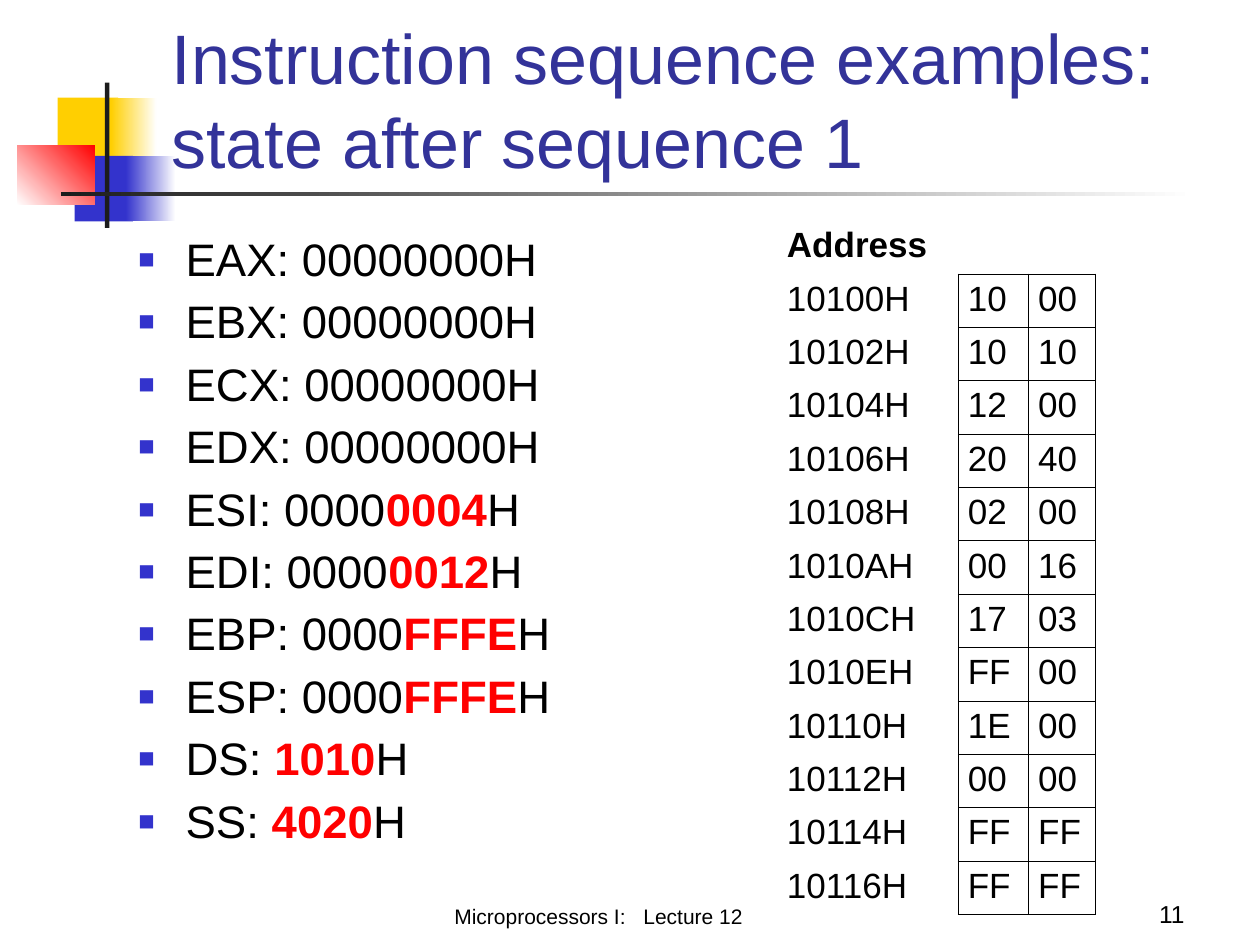
from dataclasses import dataclass

from lxml.etree import SubElement
from pptx import Presentation
from pptx.dml.color import RGBColor
from pptx.enum.shapes import MSO_SHAPE
from pptx.enum.text import MSO_ANCHOR, PP_ALIGN
from pptx.oxml.ns import qn
from pptx.util import Pt


@dataclass(frozen=True)
class Theme:
    font: str = "Arial"
    title_size: float = 40
    body_size: float = 26
    table_size: float = 20
    footer_size: float = 12
    number_size: float = 14
    title: str = "333399"
    text: str = "000000"
    changed: str = "FF0000"
    blue: str = "3333CC"
    yellow: str = "FFCF01"
    red: str = "FF0000"
    dark: str = "1C1C1C"
    white: str = "FFFFFF"


THEME = Theme()

DECORATION = [
    ((33, 55.8, 34.5, 37.5), (THEME.yellow,), 0),
    ((63.5, 55.8, 26, 37.5), (THEME.yellow, THEME.white), 0),
    ((42.6, 89, 33.4, 37.5), (THEME.blue,), 0),
    ((72, 89, 28.5, 37.5), (THEME.blue, THEME.white), 0),
    ((9.8, 83, 44.5, 34), (THEME.white, THEME.red), 45),
    ((60, 47.3, 2.5, 83), (THEME.dark,), 0),
    ((34.8, 109.6, 648, 2.5), (THEME.dark, THEME.white), 0),
]

REGISTERS = [
    ("EAX: 00000000H", "", ""),
    ("EBX: 00000000H", "", ""),
    ("ECX: 00000000H", "", ""),
    ("EDX: 00000000H", "", ""),
    ("ESI: 0000", "0004", "H"),
    ("EDI: 0000", "0012", "H"),
    ("EBP: 0000", "FFFE", "H"),
    ("ESP: 0000", "FFFE", "H"),
    ("DS: ", "1010", "H"),
    ("SS: ", "4020", "H"),
]

MEMORY_START = 0x10100
MEMORY_WORDS = ["10 00", "10 10", "12 00", "20 40", "02 00", "00 16",
                "17 03", "FF 00", "1E 00", "00 00", "FF FF", "FF FF"]


def set_attributes(target, values):
    for name, value in values.items():
        setattr(target, name, value)


def add_run(paragraph, text, size, color=THEME.text, bold=False):
    run = paragraph.add_run()
    run.text = text
    set_attributes(run.font, {"name": THEME.font, "size": Pt(size), "bold": bold})
    run.font.color.rgb = RGBColor.from_string(color)
    return run


def add_block(slide, box, colors, angle):
    shape = slide.shapes.add_shape(MSO_SHAPE.RECTANGLE, *map(Pt, box))
    shape.shadow.inherit = False
    shape.line.fill.background()
    if len(colors) == 1:
        shape.fill.solid()
        shape.fill.fore_color.rgb = RGBColor.from_string(colors[0])
        return
    shape.fill.gradient()
    shape.fill.gradient_angle = angle
    for stop, color in zip(shape.fill.gradient_stops, colors):
        stop.color.rgb = RGBColor.from_string(color)


def add_text_frame(slide, box, anchor):
    text_frame = slide.shapes.add_textbox(*map(Pt, box)).text_frame
    set_attributes(text_frame, {"word_wrap": True, "vertical_anchor": anchor})
    return text_frame


def add_line_of_text(slide, box, text, size, color=THEME.text, alignment=PP_ALIGN.LEFT):
    paragraph = add_text_frame(slide, box, MSO_ANCHOR.BOTTOM).paragraphs[0]
    paragraph.alignment = alignment
    add_run(paragraph, text, size, color)
    return paragraph


def add_bullet(paragraph):
    properties = paragraph._p.get_or_add_pPr()
    properties.set("marL", str(Pt(27)))
    properties.set("indent", str(-Pt(27)))
    color = SubElement(properties, qn("a:buClr"))
    SubElement(color, qn("a:srgbClr"), val=THEME.blue)
    SubElement(properties, qn("a:buSzPct"), val="60000")
    SubElement(properties, qn("a:buFont"), typeface=THEME.font)
    SubElement(properties, qn("a:buChar"), char="■")


def add_registers(slide, box):
    text_frame = add_text_frame(slide, box, MSO_ANCHOR.TOP)
    for index, (label, changed, suffix) in enumerate(REGISTERS):
        paragraph = text_frame.add_paragraph() if index else text_frame.paragraphs[0]
        add_bullet(paragraph)
        set_attributes(paragraph, {"line_spacing": 0.9, "space_before": Pt(7.6 if index else 0)})
        add_run(paragraph, label, THEME.body_size)
        if changed:
            add_run(paragraph, changed, THEME.body_size, THEME.changed, True)
            add_run(paragraph, suffix, THEME.body_size)


def set_borders(cell, colors):
    properties = cell._tc.get_or_add_tcPr()
    for side, color in zip(("lnL", "lnR", "lnT", "lnB"), colors):
        line = SubElement(properties, qn(f"a:{side}"), w=str(Pt(0.45)))
        fill = SubElement(line, qn("a:solidFill"))
        SubElement(fill, qn("a:srgbClr"), val=color)


def border_colors(row, column):
    black, white = THEME.text, THEME.white
    if column == 0:
        return white, black if row else white, white, white
    if row == 0:
        return white, white, white, black
    return black, black, black, black


def add_memory_table(slide, left, top, widths, row_height):
    rows = [["Address", "", ""]]
    for index, word in enumerate(MEMORY_WORDS):
        rows.append([f"{MEMORY_START + 2 * index:X}H", *word.split()])
    table = slide.shapes.add_table(len(rows), len(widths), Pt(left), Pt(top),
                                   Pt(sum(widths)), Pt(row_height * len(rows))).table
    set_attributes(table, {"first_row": False, "horz_banding": False})
    for column, width in zip(table.columns, widths):
        column.width = Pt(width)
    for row_index, values in enumerate(rows):
        table.rows[row_index].height = Pt(row_height)
        for column_index, value in enumerate(values):
            cell = table.cell(row_index, column_index)
            set_attributes(cell, {"margin_left": Pt(5.5), "margin_right": Pt(5.5),
                                  "margin_top": Pt(3.25), "margin_bottom": Pt(3.25)})
            set_borders(cell, border_colors(row_index, column_index))
            cell.fill.solid()
            cell.fill.fore_color.rgb = RGBColor.from_string(THEME.white)
            if value:
                paragraph = cell.text_frame.paragraphs[0]
                paragraph.alignment = PP_ALIGN.LEFT if column_index else PP_ALIGN.JUSTIFY
                add_run(paragraph, value, THEME.table_size, bold=row_index == 0)


def add_footer(slide):
    footer = add_line_of_text(slide, (150, 498, 384, 36), "Microprocessors I:",
                              THEME.footer_size, alignment=PP_ALIGN.CENTER)
    gap = add_run(footer, " ", THEME.footer_size)
    gap.font._element.set("spc", "667")
    add_run(footer, "Lecture 12", THEME.footer_size)
    add_line_of_text(slide, (534, 498, 150, 36), "11", THEME.number_size,
                     alignment=PP_ALIGN.RIGHT)


def main():
    presentation = Presentation()
    set_attributes(presentation, {"slide_width": Pt(720), "slide_height": Pt(540)})
    slide = presentation.slides.add_slide(presentation.slide_layouts[6])
    for box, colors, angle in DECORATION:
        add_block(slide, box, colors, angle)
    add_line_of_text(slide, (91, 18, 613.5, 90),
                     "Instruction sequence examples: state after sequence 1",
                     THEME.title_size, THEME.title)
    add_registers(slide, (72, 132, 310, 351))
    add_memory_table(slide, 444.2, 126, (103.4, 40.2, 38.2), 29.52)
    add_footer(slide)
    presentation.save("out.pptx")


if __name__ == "__main__":
    main()
